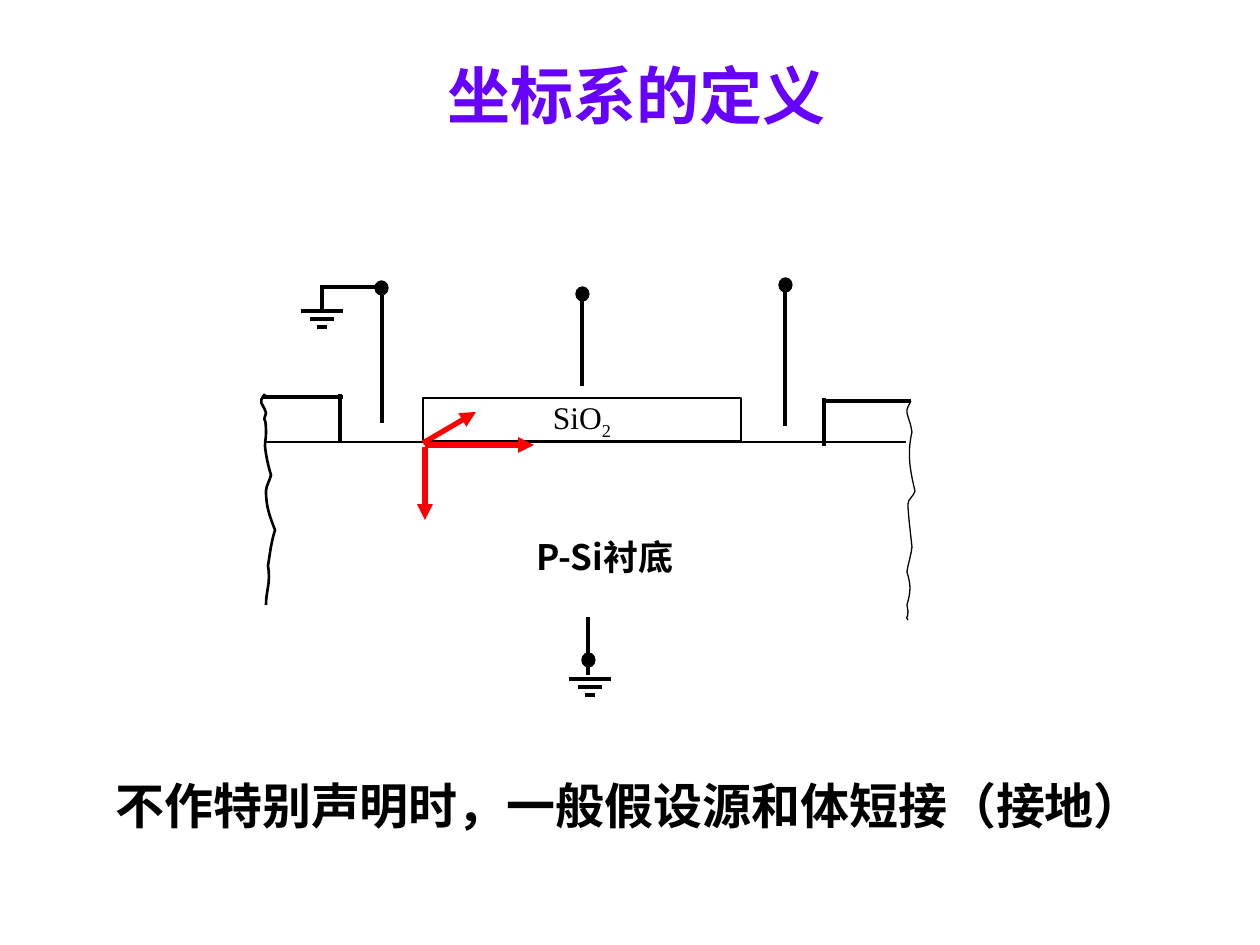
from lxml import etree
from pptx import Presentation
from pptx import util as u
from pptx.dml.color import RGBColor
from pptx.enum import shapes, text
from pptx.oxml.ns import qn

SCALE = 914400 / 126
BLACK, WHITE, RED, VIOLET = "000000", "FFFFFF", "FF0000", "6600FF"
SERIF, SANS = "Times New Roman", "Noto Sans CJK SC"

WIRES = [
    (262, 397, 343, 397), (822, 401, 911, 401),
    (824, 398, 824, 446), (340, 394, 340, 442),
    (382, 423, 382, 287), (582, 386, 582, 294),
    (785, 426, 785, 290), (588, 675, 588, 617),
    (382, 287, 322, 287), (322, 310, 322, 285),
]
TERMINALS = [(582, 653), (779, 278), (576, 287), (375, 281)]
GROUNDS = [(590, 679), (322, 311)]
AXES = [(425, 447, 425, 520), (425, 445, 534, 445), (423, 443, 476, 412)]
LEFT_EDGE = [
    (265, 394), (257, 404), (263, 402), (266, 413),
    (262, 427), (266, 410), (266, 433), (266, 438), (265, 442), (265, 446),
    (266, 456), (268, 465), (271, 475), (270, 480), (266, 486), (266, 491),
    (266, 507), (270, 517), (275, 530), (271, 543), (270, 553), (268, 566),
    (271, 583), (266, 590), (266, 605),
]
RIGHT_EDGE = [
    (911, 401), (910, 404), (906, 408), (907, 413),
    (911, 427), (910, 421), (912, 432), (907, 454), (910, 470), (915, 491),
    (914, 496), (908, 499), (908, 504), (908, 513), (911, 537), (912, 547),
    (911, 556), (908, 564), (907, 572), (911, 585), (911, 591), (907, 605),
    (907, 607), (908, 609), (908, 611), (908, 621), (905, 615), (908, 620),
]


def px(*lengths):
    """Turn pixel lengths into EMU."""
    return [u.Emu(round(length * SCALE)) for length in lengths]


def color(value):
    """Turn a hex string into a colour."""
    return RGBColor.from_string(value)


def style_line(line, width, ink=BLACK):
    """Set the colour and width of a line."""
    line.color.rgb = color(ink)
    line.width = u.Pt(width)


def add_wire(slide, ends, width=2.25, ink=BLACK, arrow=False):
    """Draw a straight line, with an arrowhead at its end if asked."""
    wire = slide.shapes.add_connector(shapes.MSO_CONNECTOR.STRAIGHT, *px(*ends))
    style_line(wire.line, width, ink)
    if arrow:
        etree.SubElement(wire.line._get_or_add_ln(), qn("a:tailEnd"), type="triangle")
    etree.SubElement(wire._element.spPr, qn("a:effectLst"))


def add_solid(slide, preset, box, fill, width):
    """Draw a filled preset shape with a black outline."""
    solid = slide.shapes.add_shape(preset, *px(*box))
    solid.shadow.inherit = False
    solid.fill.solid()
    solid.fill.fore_color.rgb = color(fill)
    style_line(solid.line, width)
    return solid


def add_ground(slide, center, top):
    """Draw a ground symbol of three shrinking bars."""
    for row, half in enumerate((21, 12, 5)):
        y = top + 8 * row
        add_wire(slide, (center - half, y, center + half, y))


def add_edge(slide, points, width):
    """Draw an open curve through cubic Bezier points."""
    builder = slide.shapes.build_freeform(*points[0], scale=SCALE)
    builder.add_line_segments(points[1:], close=False)
    edge = builder.convert_to_shape()
    edge.shadow.inherit = False
    edge.fill.background()
    style_line(edge.line, width)
    outline = next(edge._element.iter(qn("a:path")))
    segments = outline.findall(qn("a:lnTo"))
    for start in range(0, len(segments), 3):
        curve = etree.SubElement(outline, qn("a:cubicBezTo"))
        for segment in segments[start:start + 3]:
            curve.append(segment[0])
            outline.remove(segment)


def add_run(paragraph, words, size, font, ink=BLACK, bold=False):
    """Add a run of text and return it."""
    run = paragraph.add_run()
    run.text = words
    run.font.size = u.Pt(size)
    run.font.bold = bold
    run.font.color.rgb = color(ink)
    run.font.name = font
    etree.SubElement(run._r.get_or_add_rPr(), qn("a:ea"), typeface=SANS)
    return run


def add_label(slide, box, words, size, font, ink=BLACK, align=text.PP_ALIGN.LEFT):
    """Add a bold line of text in a wrapping box."""
    frame = slide.shapes.add_textbox(*px(*box)).text_frame
    frame.word_wrap = True
    line = frame.paragraphs[0]
    line.alignment = align
    line.line_spacing = 0.89
    add_run(line, words, size, font, ink, bold=True)


def add_oxide(slide):
    """Draw the oxide layer with its formula."""
    oxide = add_solid(slide, shapes.MSO_SHAPE.RECTANGLE, (423, 398, 318, 43), WHITE, 1.5)
    frame = oxide.text_frame
    frame.word_wrap = False
    frame.vertical_anchor = text.MSO_ANCHOR.MIDDLE
    formula = frame.paragraphs[0]
    formula.alignment = text.PP_ALIGN.CENTER
    add_run(formula, "SiO", 18, SERIF)
    subscript = add_run(formula, "2", 18, SERIF)
    subscript._r.get_or_add_rPr().set("baseline", "-25000")


def main():
    """Build the slide and save it."""
    deck = Presentation()
    deck.slide_width, deck.slide_height = px(1260, 945)
    slide = deck.slides.add_slide(deck.slide_layouts[6])

    add_wire(slide, (265, 442, 906, 442), 0.75)
    add_oxide(slide)
    for ends in WIRES:
        add_wire(slide, ends)
    for left, top in TERMINALS:
        add_solid(slide, shapes.MSO_SHAPE.OVAL, (left, top, 13, 14), BLACK, 0.75)
    for center, top in GROUNDS:
        add_ground(slide, center, top)
    add_label(slide, (524, 534, 237, 54), "P-Si衬底", 20, SANS)
    add_edge(slide, LEFT_EDGE, 1.5)
    add_edge(slide, RIGHT_EDGE, 0.75)
    for ends in AXES:
        add_wire(slide, ends, 3, RED, arrow=True)
    add_label(slide, (236, 60, 800, 88), "坐标系的定义", 36, SERIF, VIOLET,
              text.PP_ALIGN.CENTER)
    add_label(slide, (103, 776, 1099, 72),
              "不作特别声明时，一般假设源和体短接（接地）", 28, SERIF)
    deck.save("out.pptx")


if __name__ == "__main__":
    main()
